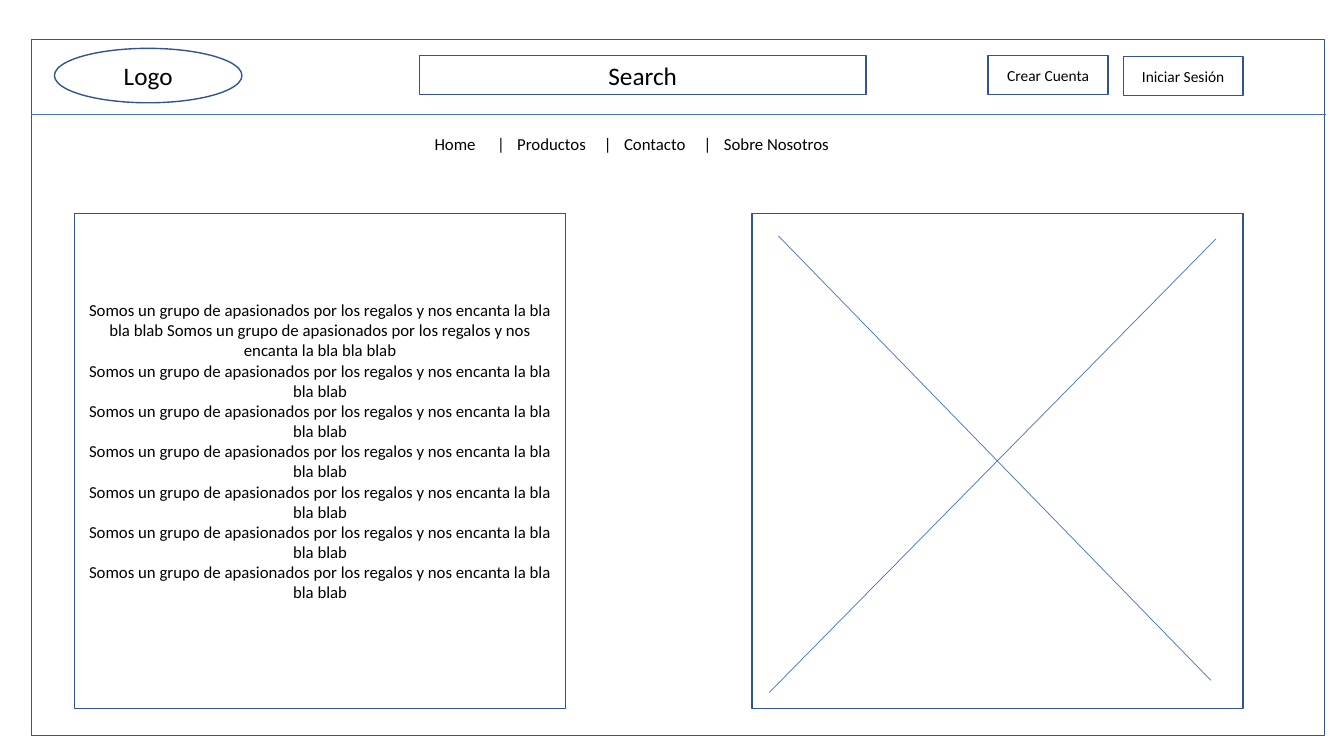
from lxml import etree
from pptx import Presentation
from pptx import util as u
from pptx.dml.color import RGBColor
from pptx.enum import shapes, text
from pptx.oxml.ns import qn

NAVY = RGBColor(0x32, 0x54, 0x91)
BLUE = RGBColor(0x44, 0x72, 0xC4)
WHITE = RGBColor(0xFF, 0xFF, 0xFF)
BLACK = RGBColor(0, 0, 0)
RECT = shapes.MSO_SHAPE.RECTANGLE
OVAL = shapes.MSO_SHAPE.OVAL

deck = Presentation()
deck.slide_width = u.Inches(13.33)
deck.slide_height = u.Inches(7.5)
slide = deck.slides.add_slide(deck.slide_layouts[6])


def box(words, *place, kind=RECT, size=12, fill=None, line=NAVY,
        align=text.PP_ALIGN.CENTER):
    shape = slide.shapes.add_shape(kind, *map(u.Inches, place))
    shape.shadow.inherit = False
    if fill is None:
        shape.fill.background()
    else:
        shape.fill.solid()
        shape.fill.fore_color.rgb = fill
    if line is None:
        shape.line.fill.background()
    else:
        shape.line.color.rgb = line
        shape.line.width = u.Pt(1)
    frame = shape.text_frame
    frame.word_wrap = True
    frame.vertical_anchor = text.MSO_ANCHOR.MIDDLE
    if words:
        frame.text = words
    for para in frame.paragraphs:
        para.alignment = align
        para.font.name = "Calibri"
        for run in para.runs:
            run.font.name = "Calibri"
            run.font.size = u.Pt(size)
            run.font.color.rgb = BLACK
    return shape


def rule(*ends):
    line = slide.shapes.add_connector(
        shapes.MSO_CONNECTOR.STRAIGHT, *map(u.Inches, ends))
    line.line.color.rgb = BLUE
    line.line.width = u.Pt(0.5)
    etree.SubElement(line._element.spPr, qn("a:effectLst"))


box("", 0.31, 0.39, 12.83, 6.91)
rule(0.31, 1.13, 13.15, 1.13)
box("Search", 4.16, 0.55, 4.43, 0.39, size=18)
box("Logo", 0.54, 0.48, 1.86, 0.54, kind=OVAL, size=18, fill=WHITE)
box("Crear Cuenta", 9.8, 0.55, 1.19, 0.39, size=11)
box("Iniciar Sesión", 11.14, 0.56, 1.19, 0.39, size=11)

links = ["Home", "Productos", "Contacto", "Sobre Nosotros"]
menu = box("\t|\t".join(links), 3.88, 1.29, 4.77, 0.28, fill=WHITE,
           line=None, align=text.PP_ALIGN.LEFT)
menu.text_frame.margin_left = u.Inches(0.43)
props = menu.text_frame.paragraphs[0]._p.get_or_add_pPr()
tabs = etree.SubElement(props, qn("a:tabLst"))
for bar in (0.62, 1.68, 2.67):
    for stop in (bar, bar + 0.2):
        etree.SubElement(tabs, qn("a:tab"), pos=str(u.Inches(stop)), algn="l")

pitch = "Somos un grupo de apasionados por los regalos y nos encanta la bla bla blab"
about = box("\n".join([f"{pitch} {pitch}"] + [pitch] * 6),
            0.74, 2.12, 4.87, 4.91, fill=WHITE)
about.text_frame.margin_bottom = u.Inches(0.25)

box("", 7.46, 2.12, 4.87, 4.91, fill=WHITE)
rule(7.72, 2.34, 12.01, 6.75)
rule(7.63, 6.87, 12.06, 2.37)

deck.save("out.pptx")
